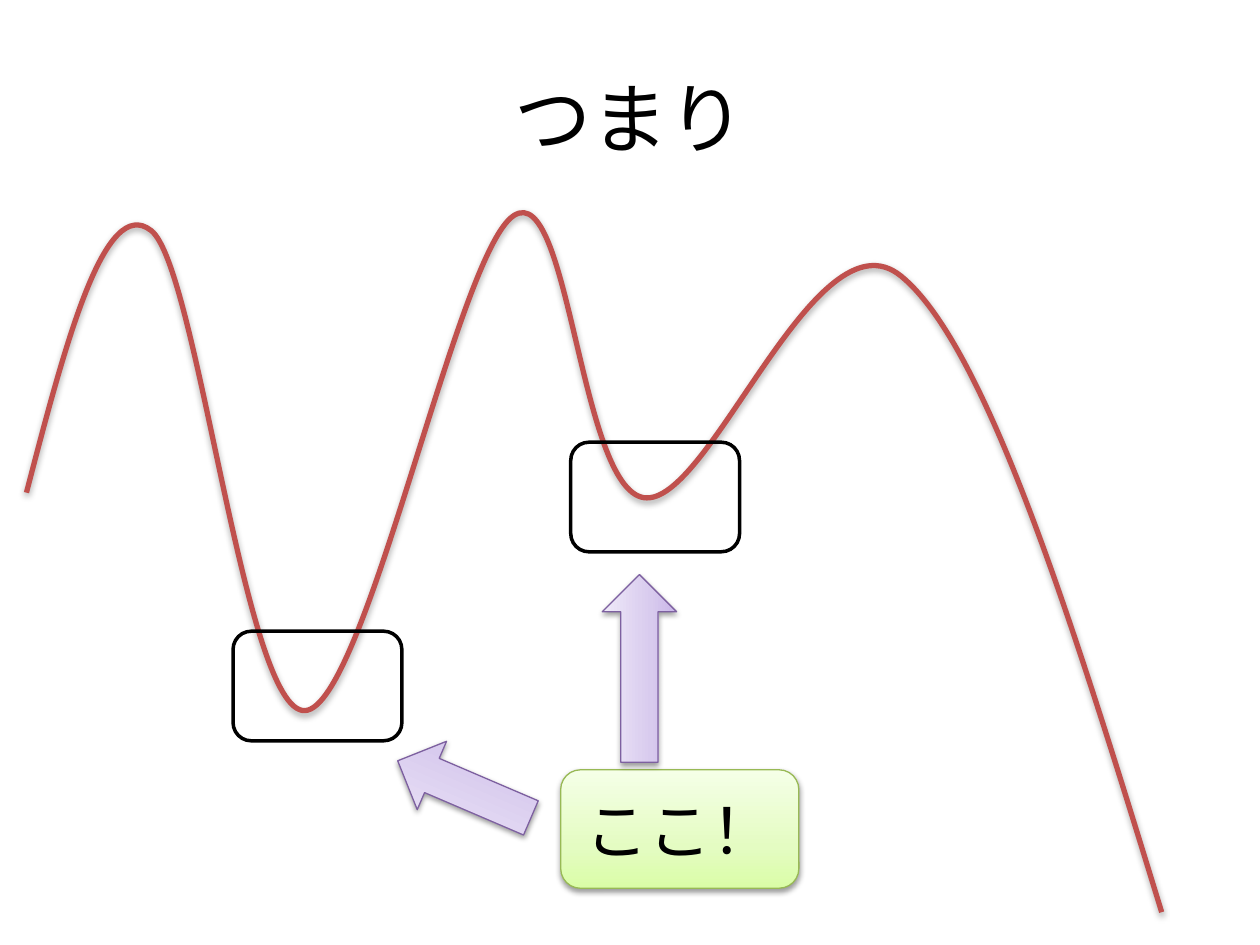
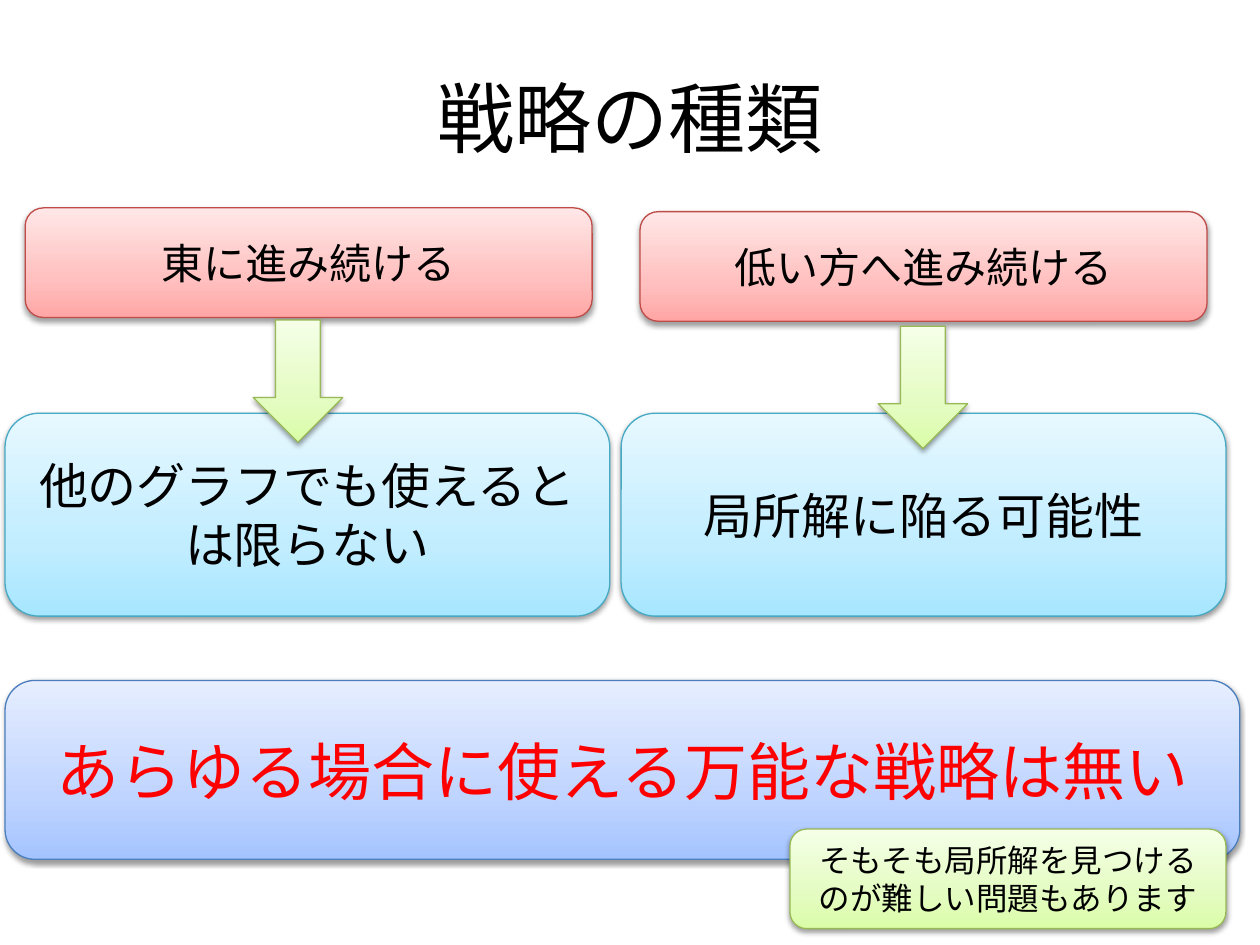
"""Build two slides on local minima and search strategies."""
from lxml.etree import SubElement as Sub
from pptx import Presentation
from pptx.dml.color import RGBColor as RGB
from pptx.enum.shapes import MSO_SHAPE as SHAPE
from pptx.enum.text import MSO_ANCHOR, PP_ALIGN
from pptx.oxml.ns import qn
from pptx.util import Pt

PX = 9144
FONT = "Calibri"
COLORS = {"black": "000000", "red": "FF0000", "curve": "C0504D"}
STYLES = {
    "green": ("98B955", "DAFDA7", "E4FCC2", "F5FFE7"),
    "purple": ("7D60A0", "C9B5E8", "D8CBEE", "F0EAF9"),
    "pink": ("BF4C48", "FFA6A5", "FFC0BF", "FFE7E7"),
    "cyan": ("46AAC5", "A7E6FF", "C1EDFF", "E7F8FF"),
    "blue": ("4B7EBC", "A4C4FF", "BFD4FF", "E6EEFF"),
}
STOPS = (0, 35000, 100000)


def decorate(sp, line, width, fill=None, alpha=None, dist=20000):
    sp.shadow.inherit = False
    sp.line.color.rgb = RGB.from_string(line)
    sp.line.width = Pt(width)
    if fill:
        sp.fill.gradient()
        sp.fill.gradient_angle = 90
        stops = next(sp._element.iter(qn("a:gsLst")))
        stops.clear()
        for pos, color in zip(STOPS, fill):
            Sub(Sub(stops, qn("a:gs"), pos=str(pos)), qn("a:srgbClr"), val=color)
    else:
        sp.fill.background()
    if alpha:
        effects = next(sp._element.iter(qn("a:effectLst")))
        shadow = Sub(effects, qn("a:outerShdw"), blurRad="40000", dist=str(dist),
                     dir="5400000", rotWithShape="0")
        color = Sub(shadow, qn("a:srgbClr"), val=COLORS["black"])
        Sub(color, qn("a:alpha"), val=str(alpha * 1000))


def write(sp, text, size, color="black"):
    tf = sp.text_frame
    tf.word_wrap = True
    tf.vertical_anchor = MSO_ANCHOR.MIDDLE
    tf.text = text
    p = tf.paragraphs[0]
    p.alignment = PP_ALIGN.CENTER
    r = p.runs[0]
    r.font.name = FONT
    r.font.size = Pt(size)
    r.font.color.rgb = RGB.from_string(COLORS[color])


prs = Presentation()
prs.slide_width, prs.slide_height = 1000 * PX, 750 * PX

slides = []
for title in ("つまり", "戦略の種類"):
    s = prs.slides.add_slide(prs.slide_layouts[6])
    write(s.shapes.add_textbox(50 * PX, 30 * PX, 900 * PX, 125 * PX), title, 44)
    slides.append(s)
valleys, strategies = slides

curve = [
    (52, 272), (83, 154), (120, 183),
    (157, 212), (194, 566), (242, 564),
    (290, 562), (363, 199), (408, 171),
    (452, 143), (460, 387), (511, 395),
    (563, 403), (647, 164), (715, 219),
    (783, 274), (853, 499), (922, 724),
]
builder = valleys.shapes.build_freeform(21, 391, scale=PX)
builder.add_line_segments(curve, close=False)
sp = builder.convert_to_shape()
lines = list(sp._element.iter(qn("a:lnTo")))
for i in range(0, len(lines), 3):
    bezier = Sub(lines[i].getparent(), qn("a:cubicBezTo"))
    for line in lines[i:i + 3]:
        bezier.append(line[0])
        line.getparent().remove(line)
decorate(sp, COLORS["curve"], 3, alpha=35, dist=23000)

for x, y in ((185, 501), (453, 351)):
    sp = valleys.shapes.add_shape(SHAPE.ROUNDED_RECTANGLE, x * PX, y * PX, 134 * PX, 87 * PX)
    decorate(sp, COLORS["black"], 2)

boxes = [
    (valleys, "green", (445, 611, 189, 94), "ここ！", 36, "black"),
    (strategies, "pink", (20, 165, 450, 87), "東に進み続ける", 24, "black"),
    (strategies, "pink", (508, 168, 450, 87), "低い方へ進み続ける", 24, "black"),
    (strategies, "cyan", (4, 328, 480, 161), "他のグラフでも使えるとは限らない", 28, "black"),
    (strategies, "cyan", (493, 328, 480, 161), "局所解に陥る可能性", 28, "black"),
    (strategies, "blue", (4, 540, 980, 142), "あらゆる場合に使える万能な戦略は無い", 36, "red"),
    (strategies, "green", (627, 658, 346, 79),
     "そもそも局所解を見つけるのが難しい問題もあります", 18, "black"),
]
for s, style, box, text, size, color in boxes:
    sp = s.shapes.add_shape(SHAPE.ROUNDED_RECTANGLE, *(v * PX for v in box))
    line, *fill = STYLES[style]
    decorate(sp, line, 0.75, fill, 38)
    write(sp, text, size, color)

arrows = [
    (valleys, SHAPE.RIGHT_ARROW, "purple", (311, 597, 115, 59), 203.2),
    (valleys, SHAPE.RIGHT_ARROW, "purple", (433, 501, 149, 59), 270),
    (strategies, SHAPE.DOWN_ARROW, "green", (201, 254, 71, 97), 0),
    (strategies, SHAPE.DOWN_ARROW, "green", (697, 259, 71, 97), 0),
]
for s, kind, style, box, angle in arrows:
    sp = s.shapes.add_shape(kind, *(v * PX for v in box))
    sp.rotation = angle
    line, *fill = STYLES[style]
    decorate(sp, line, 0.75, fill, 38)

prs.save("out.pptx")
